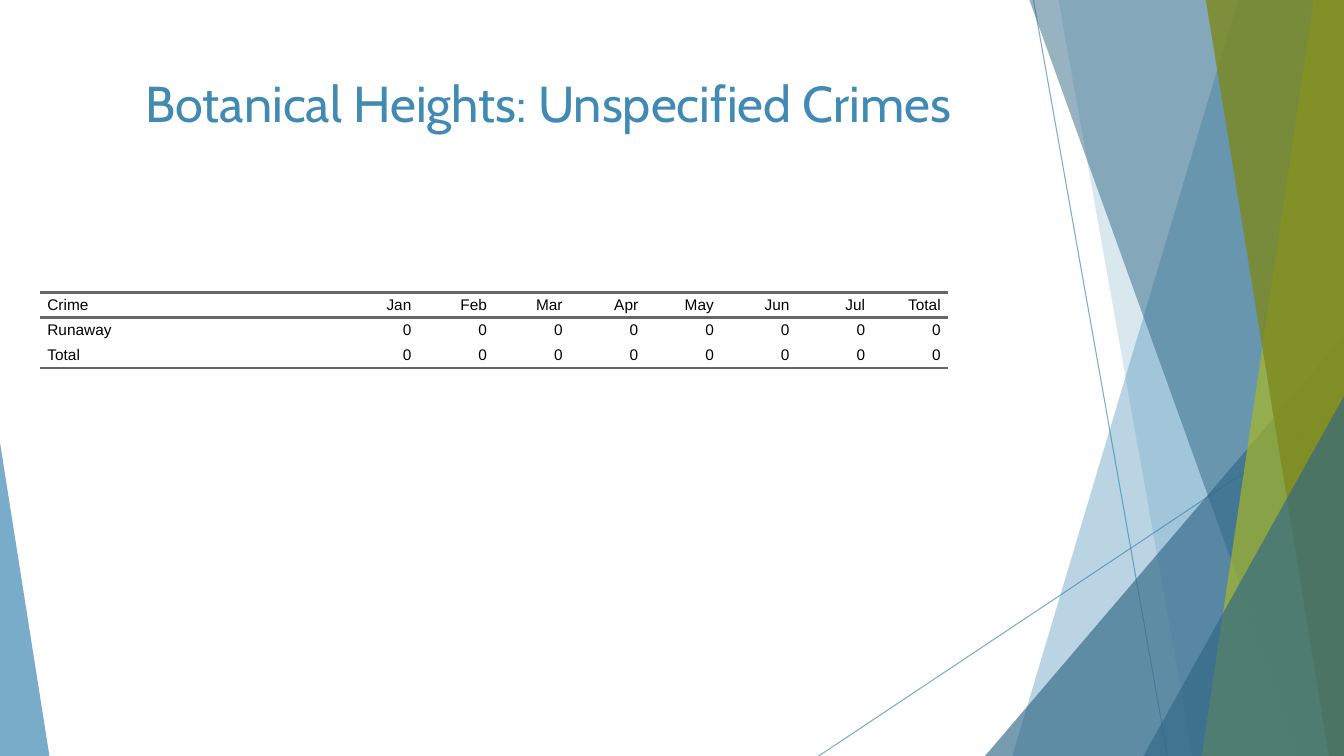
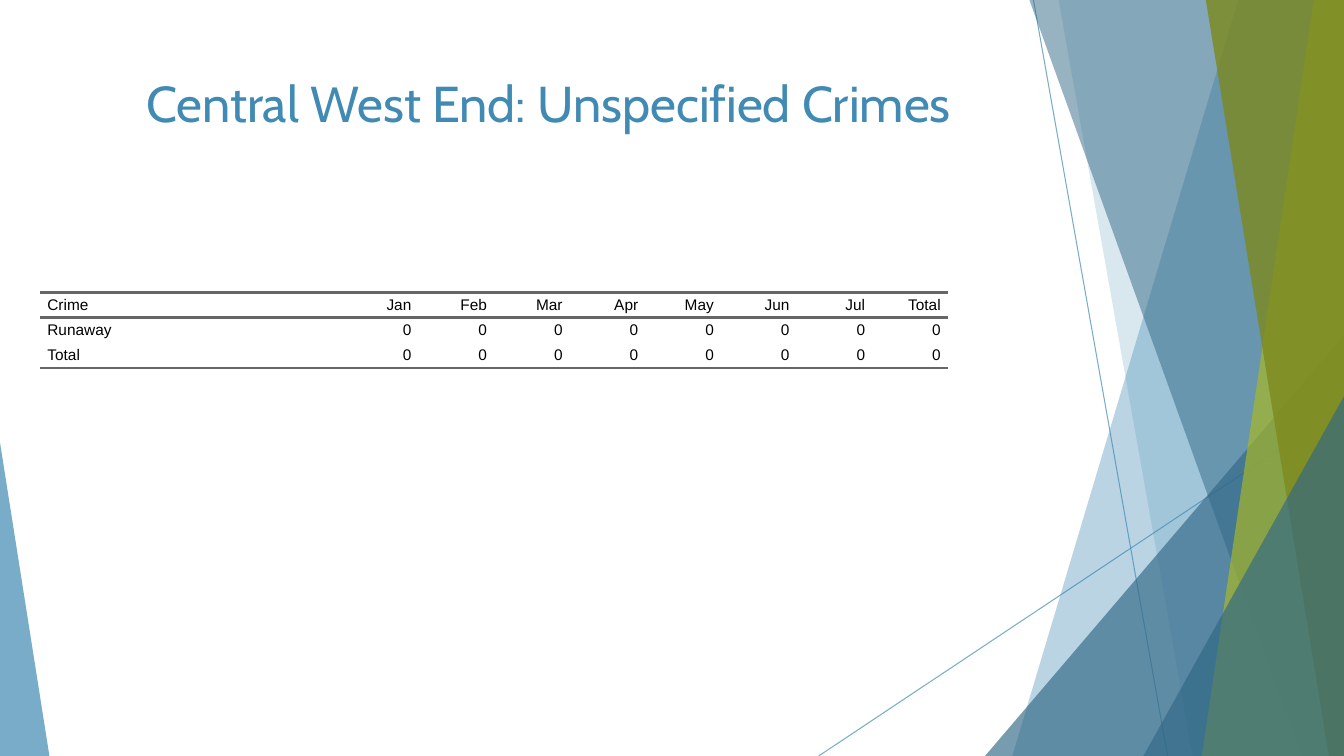
from lxml import etree
from pptx import Presentation
from pptx.dml.color import RGBColor
from pptx.enum.shapes import MSO_CONNECTOR as CONN, MSO_SHAPE as SHAPE
from pptx.enum.text import MSO_ANCHOR as ANCHOR, PP_ALIGN as ALIGN
from pptx.oxml.ns import qn
from pptx.util import Inches, Pt

COLORS = {"blue": "418AB3", "navy": "316886", "lime": "A6B727",
          "olive": "7D891D", "rule": "666666", "text": "000000"}
W, H = 13.33, 7.5

# Backdrop lines: x1, y1, x2, y2
LINES = [(10.25, 0, 11.58, H), (W, 4.03, 8.12, H)]

# Backdrop facets from back to front: kind, geometry, colour, opacity in %
# band: top-left x, bottom-left x (runs to the right edge)
# triangle: left, top, width, apex position (stands on the bottom edge)
FACETS = [
    ("band", (12.28, 10.04), "blue", 36),
    ("band", (10.5, 11.83), "blue", 20),
    ("triangle", (9.77, 3.33, 3.56, 1), "navy", 66),
    ("band", (10.21, 12.91), "navy", 50),
    ("band", (13.03, 11.92), "lime", 70),
    ("band", (11.96, 13.18), "olive", 80),
    ("triangle", (11.34, 3.93, 1.99, 1), "navy", 66),
    ("triangle", (0, 4.39, 0.49, 0), "blue", 70),
]

HEADER = ["Crime", "Jan", "Feb", "Mar", "Apr", "May", "Jun", "Jul", "Total"]
SLIDES = [
    ("Botanical Heights: Unspecified Crimes",
     [["Runaway"] + ["0"] * 8, ["Total"] + ["0"] * 8]),
    ("Central West End: Unspecified Crimes",
     [["Runaway"] + ["0"] * 8, ["Total"] + ["0"] * 8]),
]
COL_WIDTHS = [3] + [0.75] * 8
ROW_H = 0.25


def set_color(fmt, element, name, opacity):
    """Give a fill a solid colour with the opacity in percent."""
    fmt.solid()
    fmt.fore_color.rgb = RGBColor.from_string(COLORS[name])
    for clr in element.iter(qn("a:srgbClr")):
        etree.SubElement(clr, qn("a:alpha"), val=str(opacity * 1000))


def set_borders(cell, ruled):
    """Rule the given sides of a cell and clear the others."""
    tcPr = cell._tc.get_or_add_tcPr()
    for side in ("L", "R", "T", "B"):
        width = Pt(2) if side in ruled else 0
        ln = etree.SubElement(tcPr, qn(f"a:ln{side}"), w=str(width))
        if side in ruled:
            fill = etree.SubElement(ln, qn("a:solidFill"))
            etree.SubElement(fill, qn("a:srgbClr"), val=COLORS["rule"])
        else:
            etree.SubElement(ln, qn("a:noFill"))


prs = Presentation()
prs.slide_width, prs.slide_height = Inches(W), Inches(H)

for title, body in SLIDES:
    s = prs.slides.add_slide(prs.slide_layouts[6])

    # Backdrop lines
    for line in LINES:
        cn = s.shapes.add_connector(CONN.STRAIGHT, *[Inches(v) for v in line])
        cn.line.width = Pt(0.75)
        set_color(cn.line.fill, cn.element, "blue", 70)
        etree.SubElement(cn.element.spPr, qn("a:effectLst"))

    # Backdrop facets
    for kind, geometry, color, opacity in FACETS:
        if kind == "band":
            top_x, bottom_x = geometry
            corners = [(W, 0), (W, H), (bottom_x, H)]
            fb = s.shapes.build_freeform(Inches(top_x), 0)
            fb.add_line_segments([(Inches(x), Inches(y)) for x, y in corners])
            sp = fb.convert_to_shape()
        else:
            left, top, width, apex = geometry
            sp = s.shapes.add_shape(SHAPE.ISOSCELES_TRIANGLE, Inches(left),
                                    Inches(top), Inches(width), Inches(H - top))
            sp.adjustments[0] = apex
        sp.shadow.inherit = False
        set_color(sp.fill, sp.element, color, opacity)
        sp.line.fill.background()

    # Crime table
    rows = [HEADER] + body
    table = s.shapes.add_table(
        len(rows), len(HEADER), Inches(0.4), Inches(2.9),
        Inches(sum(COL_WIDTHS)), Inches(ROW_H * len(rows))).table
    table.first_row = table.horz_banding = False
    for col, width in zip(table.columns, COL_WIDTHS):
        col.width = Inches(width)
    for i, row in enumerate(rows):
        table.rows[i].height = Inches(ROW_H)
        # Rules above and below the header and below the last row
        ruled = {0: "TB", 1: "T", len(rows) - 1: "B"}.get(i, "")
        for j, text in enumerate(row):
            cell = table.cell(i, j)
            set_borders(cell, ruled)
            cell.fill.background()
            cell.margin_left = cell.margin_right = Inches(0.07)
            cell.margin_top = cell.margin_bottom = 0
            cell.vertical_anchor = ANCHOR.MIDDLE
            p = cell.text_frame.paragraphs[0]
            p.text = text
            p.alignment = ALIGN.RIGHT if j else ALIGN.LEFT
            font = p.runs[0].font
            font.name, font.size = "Arial", Pt(11)
            font.color.rgb = RGBColor.from_string(COLORS["text"])

    # Title
    tf = s.shapes.add_textbox(Inches(0.74), Inches(0.67),
                              Inches(9.4), Inches(1.44)).text_frame
    tf.word_wrap = True
    p = tf.paragraphs[0]
    p.text = title
    p.alignment = ALIGN.CENTER
    font = p.runs[0].font
    font.name, font.size = "Cabin", Pt(36)
    font.color.rgb = RGBColor.from_string(COLORS["blue"])

prs.save("out.pptx")
